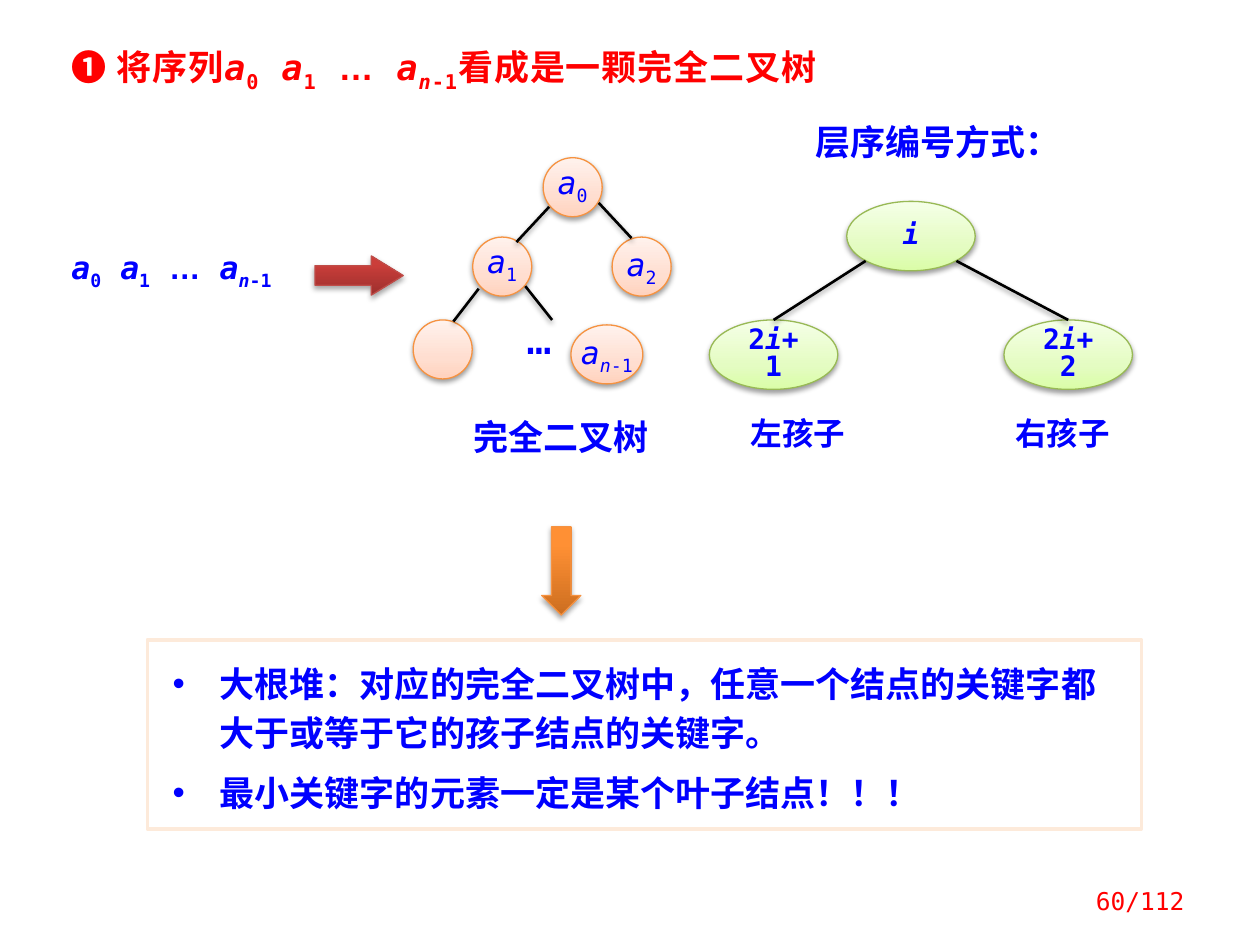
"""Build a slide that views a sequence as a complete binary tree and a heap."""
from lxml.etree import SubElement
from pptx import Presentation
from pptx.dml.color import RGBColor
from pptx.enum.lang import MSO_LANGUAGE_ID as LANG
from pptx.enum.shapes import MSO_CONNECTOR, MSO_SHAPE
from pptx.enum.text import MSO_ANCHOR, MSO_AUTO_SIZE, PP_ALIGN
from pptx.oxml.ns import qn
from pptx.util import Cm, Pt

MONO = "DejaVu Sans Mono"
BLUE = RGBColor(0x00, 0x00, 0xFF)
RED = RGBColor(0xFF, 0x00, 0x00)
BLACK = RGBColor(0x00, 0x00, 0x00)
WHITE = RGBColor(0xFF, 0xFF, 0xFF)
CREAM = RGBColor(0xFD, 0xEA, 0xDA)
ORANGE = RGBColor(0xF6, 0x92, 0x40)
GREEN = RGBColor(0x98, 0xB9, 0x55)
BRICK = RGBColor(0xBF, 0x4C, 0x48)

PEACH_FILL = [(0, "FFD2BD"), (35, "FFDED0"), (100, "FFF2ED")]
LIME_FILL = [(0, "DAFDA7"), (35, "E4FCC2"), (100, "F5FFE7")]
ORANGE_FILL = [(0, "CC6E20"), (80, "FF9034"), (100, "FF9136")]
BRICK_FILL = [(0, "9C2F2D"), (80, "CB3E3A"), (100, "CE3B37")]

LAST = [("a", "i"), ("n", "i_"), ("-1", "_")]
SEQUENCE = [("a", "i"), ("0", "_"), (" ", ""), ("a", "i"), ("1", "_"), (" ", ""),
            ("…", "A"), (" ", "")] + LAST
TITLE = [("❶ 将序列", "")] + SEQUENCE + [("看成是一颗完全二叉树", "")]

NODE = 1.19
NODES = [
    (10.95, 3.18, NODE, [("a", "i"), ("0", "_")], 0.25, 0.13),
    (9.53, 4.78, NODE, [("a", "i"), ("1", "_")], 0.25, 0.13),
    (12.34, 4.78, NODE, [("a", "i"), ("2", "_")], 0, 0),
    (8.33, 6.45, NODE, [], 0, 0),
    (11.51, 6.55, 1.45, LAST, 0, 0),
]
EDGES = [
    (11.07, 4.17, 10.41, 4.88), (12.07, 4.09, 12.73, 4.8),
    (9.65, 5.82, 9.14, 6.48), (10.59, 5.77, 11.13, 6.45),
]
PARENT = (17.07, 4.06, [("i", "i")])
CHILDREN = [
    (14.3, 6.45, [("2", ""), ("i", "i"), ("+1", "")], 17.45),
    (20.24, 6.45, [("2", ""), ("i", "i"), ("+2", "")], 19.28),
]
LABELS = [
    ("完全二叉树", (8.53, 8.41, 5.56, 0.94), 20),
    ("左孩子", (14.3, 8.36, 3.58, 0.89), 18),
    ("右孩子", (19.63, 8.36, 3.58, 0.89), 18),
    ("层序编号方式：", (16.08, 2.46, 4.95, 0.94), 20),
]
ARROWS = [
    (MSO_SHAPE.DOWN_ARROW, (10.92, 10.62, 0.79, 1.78), ORANGE_FILL, ORANGE, 0.5),
    (MSO_SHAPE.RIGHT_ARROW, (6.35, 5.16, 1.78, 0.79), BRICK_FILL, BRICK, 0.815),
]
FACTS = [
    "大根堆：对应的完全二叉树中，任意一个结点的关键字都大于或等于它的孩子结点的关键字。",
    "最小关键字的元素一定是某个叶子结点！！！",
]


def cm(box):
    return [Cm(v) for v in box]


def write(p, runs, size, color=BLUE, bold=True, spacing=None):
    for text, style in runs:
        r = p.add_run()
        r.text = text
        f = r.font
        f.name = "Arial" if "A" in style else MONO
        f.size, f.bold, f.italic = Pt(size), bold, "i" in style
        f.color.rgb = color
        f.language_id = LANG.SIMPLIFIED_CHINESE
        rpr = r._r.get_or_add_rPr()
        if "_" in style:
            rpr.set("baseline", "-25000")
        if spacing:
            rpr.set("spc", str(spacing))


def add_shadow(sp, alpha=38, dist=1.6):
    sppr = sp._element.spPr
    effects = sppr.find(qn("a:effectLst"))
    if effects is None:
        effects = SubElement(sppr, qn("a:effectLst"))
    outer = SubElement(effects, qn("a:outerShdw"), blurRad=str(Pt(3.1)),
                       dist=str(Pt(dist)), dir="5400000", rotWithShape="0")
    color = SubElement(outer, qn("a:srgbClr"), val="000000")
    SubElement(color, qn("a:alpha"), val=str(alpha * 1000))


def add_glossy(s, kind, box, stops, line, alpha=38, dist=1.6):
    sp = s.shapes.add_shape(kind, *cm(box))
    sp.shadow.inherit = False
    sp.line.color.rgb, sp.line.width = line, Pt(0.75)
    sppr = sp._element.spPr
    grad = SubElement(sppr, qn("a:gradFill"), rotWithShape="1")
    stop_list = SubElement(grad, qn("a:gsLst"))
    for pos, color in stops:
        stop = SubElement(stop_list, qn("a:gs"), pos=str(pos * 1000))
        SubElement(stop, qn("a:srgbClr"), val=color)
    SubElement(grad, qn("a:lin"), ang="16200000", scaled="0")
    sppr.find(qn("a:prstGeom")).addnext(grad)
    add_shadow(sp, alpha, dist)
    return sp


def add_edge(s, ends, child=None):
    line = s.shapes.add_connector(MSO_CONNECTOR.STRAIGHT, *cm(ends))
    if child is not None:
        line.end_connect(child, 0)
    line.line.color.rgb, line.line.width = BLACK, Pt(1.5)
    add_shadow(line)


def add_text(s, box, runs, size, align=PP_ALIGN.CENTER, color=BLUE, bold=True, leading=0.8):
    tf = s.shapes.add_textbox(*cm(box)).text_frame
    tf.word_wrap = True
    p = tf.paragraphs[0]
    p.alignment, p.line_spacing = align, leading
    write(p, runs, size, color, bold)
    return tf


def add_title(s):
    sp = s.shapes.title
    sp.left, sp.top, sp.width, sp.height = cm((1.19, 0.79, 16.08, 1.12))
    tf = sp.text_frame
    tf.auto_size, tf.vertical_anchor = MSO_AUTO_SIZE.NONE, MSO_ANCHOR.TOP
    p = tf.paragraphs[0]
    p.alignment = PP_ALIGN.LEFT
    write(p, TITLE, 20, RED, spacing=50)


def add_node_text(sp, runs, size, bold):
    tf = sp.text_frame
    tf.vertical_anchor = MSO_ANCHOR.MIDDLE
    p = tf.paragraphs[0]
    p.alignment, p.line_spacing = PP_ALIGN.CENTER, 0.8
    write(p, runs, size, bold=bold)
    return tf


def add_facts(s):
    sp = s.shapes.add_shape(MSO_SHAPE.RECTANGLE, *cm((2.97, 12.9, 20.04, 3.81)))
    sp.shadow.inherit = False
    sp.fill.solid()
    sp.fill.fore_color.rgb = WHITE
    sp.line.color.rgb, sp.line.width = CREAM, Pt(2)
    tf = sp.text_frame
    tf.word_wrap, tf.vertical_anchor = True, MSO_ANCHOR.MIDDLE
    tf.margin_left, tf.margin_top, tf.margin_right, tf.margin_bottom = cm((0.51, 0.3, 0.25, 0.3))
    for i, fact in enumerate(FACTS):
        p = tf.add_paragraph() if i else tf.paragraphs[0]
        p.alignment, p.line_spacing = PP_ALIGN.LEFT, Pt(28)
        if i:
            p.space_before = Pt(6)
        ppr = p._p.get_or_add_pPr()
        ppr.set("marL", str(Cm(0.95)))
        ppr.set("indent", str(-Cm(0.95)))
        SubElement(ppr, qn("a:buFont"), typeface="Arial")
        SubElement(ppr, qn("a:buChar"), char="•")
        write(p, [(fact, "")], 20)


def main():
    prs = Presentation()
    prs.slide_width, prs.slide_height = Cm(25.4), Cm(19.05)
    s = prs.slides.add_slide(prs.slide_layouts[5])
    add_title(s)
    for x, y, width, runs, side, bottom in NODES:
        sp = add_glossy(s, MSO_SHAPE.OVAL, (x, y, width, NODE), PEACH_FILL, ORANGE)
        tf = add_node_text(sp, runs, 18, False)
        tf.word_wrap = False
        tf.margin_left = tf.margin_right = Cm(side)
        tf.margin_top, tf.margin_bottom = Cm(0), Cm(bottom)
    for ends in EDGES:
        add_edge(s, ends)
    add_text(s, (10.36, 6.38, 1.8, 1.09), [("…", "")], 24, PP_ALIGN.LEFT, bold=False)

    x, y, runs = PARENT
    parent = add_glossy(s, MSO_SHAPE.OVAL, (x, y, 2.59, 1.4), LIME_FILL, GREEN)
    add_node_text(parent, runs, 16, True)
    for x, y, runs, start in CHILDREN:
        child = add_glossy(s, MSO_SHAPE.OVAL, (x, y, 2.59, 1.4), LIME_FILL, GREEN)
        add_node_text(child, runs, 16, True).word_wrap = True
        add_edge(s, (start, 5.26, x, y), child)

    for text, box, size in LABELS:
        add_text(s, box, [(text, "")], size)
    add_text(s, (1.19, 4.95, 4.8, 0.89), SEQUENCE, 18, PP_ALIGN.LEFT)
    for kind, box, stops, line, head in ARROWS:
        arrow = add_glossy(s, kind, box, stops, line, 35, 1.8)
        arrow.adjustments[1] = head
    add_facts(s)
    page = add_text(s, (21.03, 17.65, 3.1, 1.02), [("60/112", "")], 14, PP_ALIGN.RIGHT, RED, False, 1.0)
    page.vertical_anchor = MSO_ANCHOR.MIDDLE
    prs.save("out.pptx")


if __name__ == "__main__":
    main()
